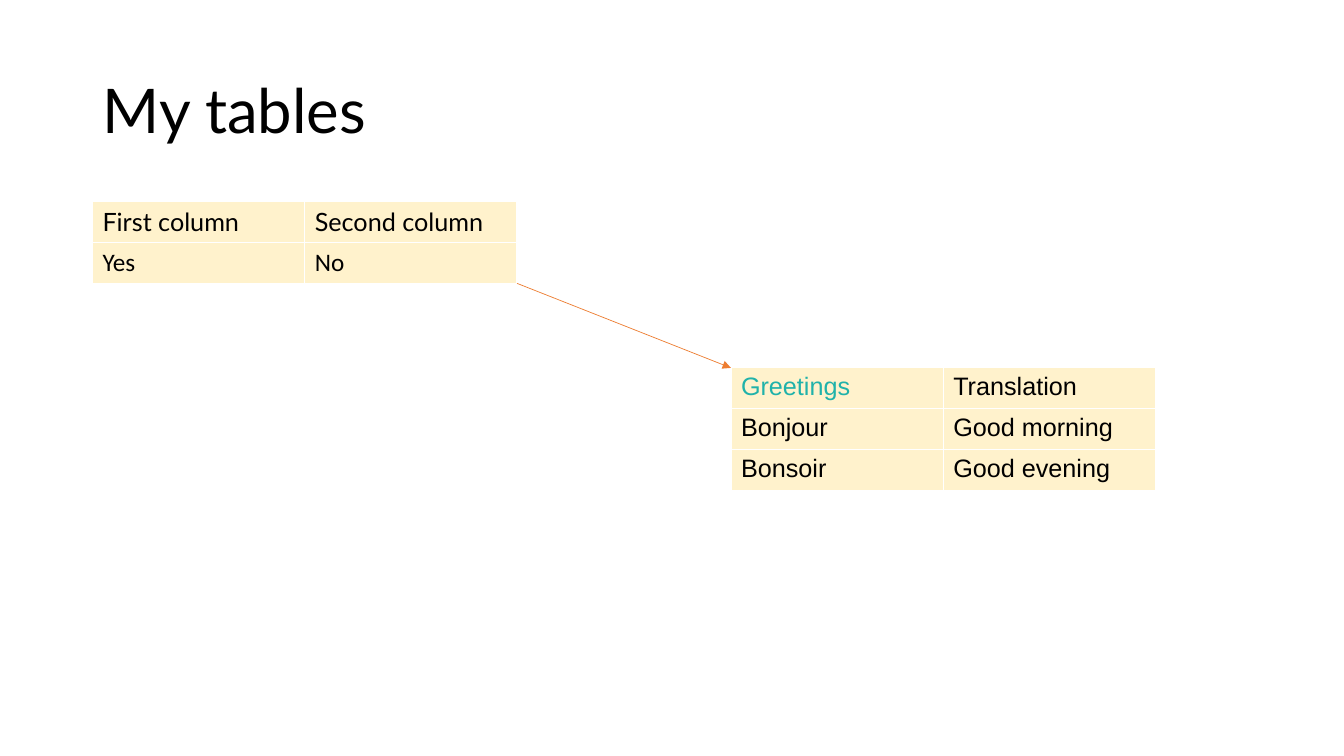
"""Build a slide with two small tables joined by an arrow."""
from lxml.etree import SubElement
from pptx import Presentation
from pptx.dml.color import RGBColor
from pptx.enum.shapes import MSO_CONNECTOR
from pptx.enum.text import MSO_ANCHOR, PP_ALIGN
from pptx.oxml.ns import qn
from pptx.util import Cm, Pt

COLUMN_WIDTH = Cm(5.35)
ROW_HEIGHT = Cm(1.03)


def set_color(color_format, hex_color):
    color_format.rgb = RGBColor.from_string(hex_color)


def style_paragraph(paragraph, font_name, size, hex_color):
    paragraph.font.name = font_name
    paragraph.font.size = Pt(size)
    paragraph.font.bold = False
    set_color(paragraph.font.color, hex_color)


presentation = Presentation()
presentation.slide_width = Cm(33.87)
presentation.slide_height = Cm(19.05)
slide = presentation.slides.add_slide(presentation.slide_layouts[5])

title = slide.shapes.title
title.left, title.top, title.width, title.height = Cm(2.33), Cm(1.01), Cm(29.21), Cm(3.68)
title.text_frame.text = "My tables"
title.text_frame.vertical_anchor = MSO_ANCHOR.MIDDLE
title_paragraph = title.text_frame.paragraphs[0]
title_paragraph.alignment = PP_ALIGN.LEFT
title_paragraph.line_spacing = 0.9
style_paragraph(title_paragraph, "Lato", 44, "000000")

tables = [
    (Cm(2.33), Cm(5.08), [
        ("Lato", [("First column", "000000"), ("Second column", "000000")]),
        ("Calibri", [("Yes", "000000"), ("No", "000000")]),
    ]),
    (Cm(18.42), Cm(9.27), [
        ("Arial", [("Greetings", "20B2AA"), ("Translation", "000000")]),
        ("Arial", [("Bonjour", "000000"), ("Good morning", "000000")]),
        ("Arial", [("Bonsoir", "000000"), ("Good evening", "000000")]),
    ]),
]
frames = []
for left, top, rows in tables:
    frame = slide.shapes.add_table(
        len(rows), 2, left, top, 2 * COLUMN_WIDTH, len(rows) * ROW_HEIGHT)
    frames.append(frame)
    for row_index, (font_name, entries) in enumerate(rows):
        for column_index, (text, hex_color) in enumerate(entries):
            cell = frame.table.cell(row_index, column_index)
            cell.text = text
            cell.fill.solid()
            set_color(cell.fill.fore_color, "FFF2CC")
            style_paragraph(cell.text_frame.paragraphs[0], font_name, 18, hex_color)

answers, greetings = frames
arrow = slide.shapes.add_connector(
    MSO_CONNECTOR.STRAIGHT,
    answers.left + answers.width, answers.top + answers.height,
    greetings.left, greetings.top)
arrow.line.width = Pt(0.5)
set_color(arrow.line.color, "ED7D31")
SubElement(arrow.line._get_or_add_ln(), qn("a:tailEnd"), type="triangle")
SubElement(arrow._element.spPr, qn("a:effectLst"))

presentation.save("out.pptx")
